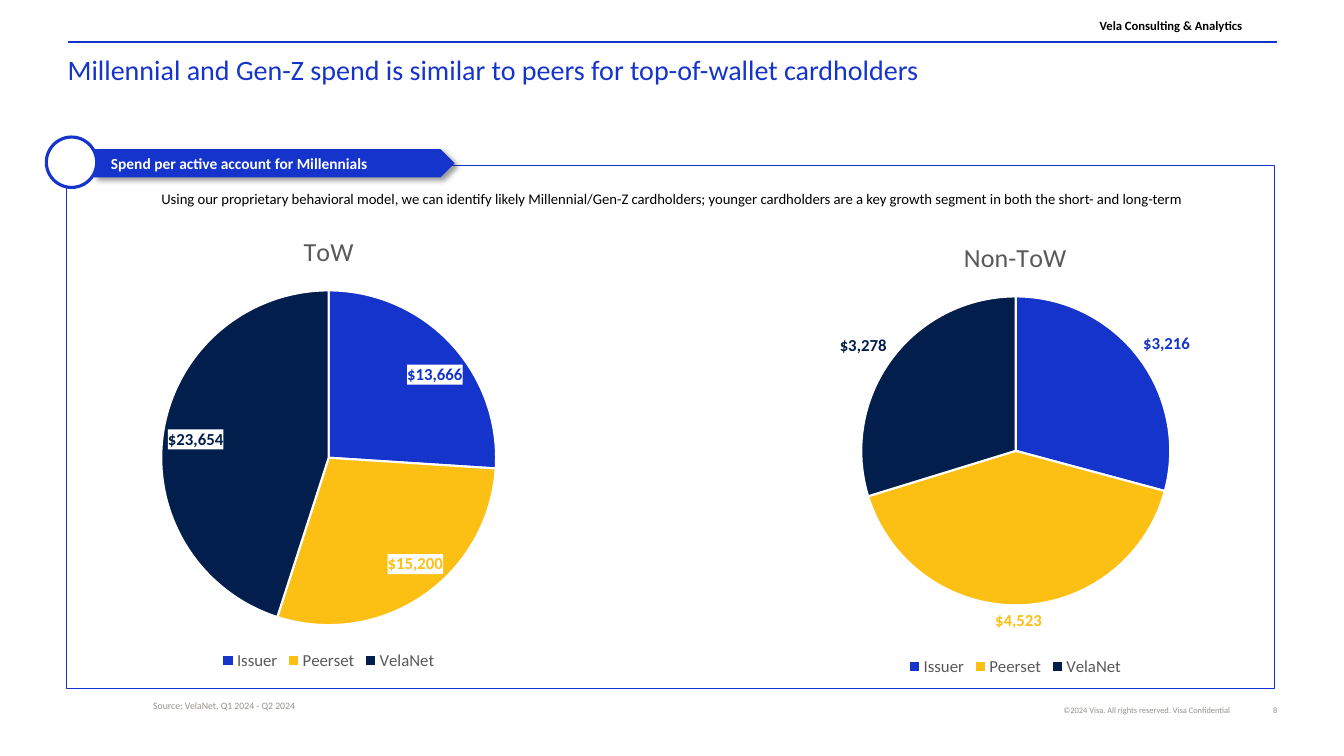
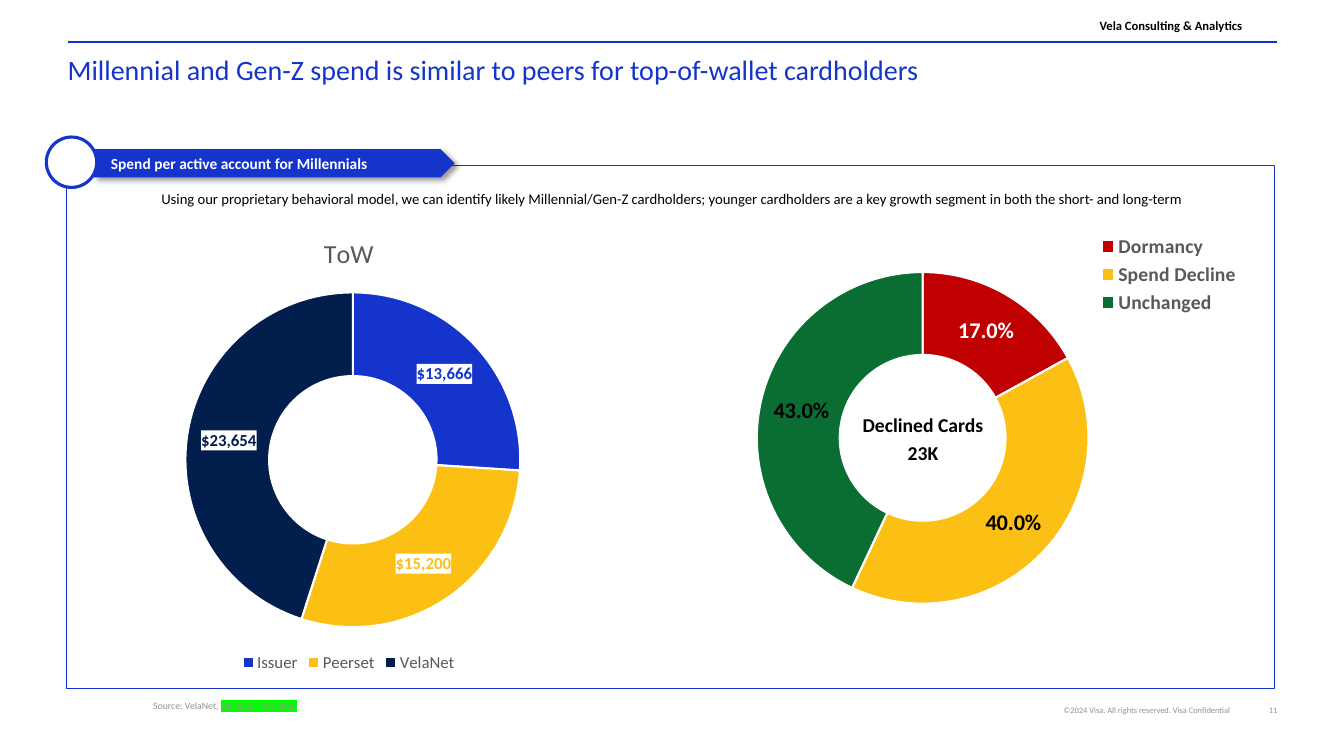
"""Build two slides on cardholder spend with pie and doughnut charts."""
import pptx
import pptx.chart.data
import pptx.dml.color
import pptx.enum.chart
import pptx.enum.shapes
import pptx.enum.text
import pptx.oxml
import pptx.oxml.ns
import pptx.util
from lxml import etree

Inches, Pt = pptx.util.Inches, pptx.util.Pt
RGBColor, qn = pptx.dml.color.RGBColor, pptx.oxml.ns.qn
Shapes, Align = pptx.enum.shapes.MSO_SHAPE, pptx.enum.text.PP_ALIGN
Anchor = pptx.enum.text.MSO_ANCHOR
ChartType = pptx.enum.chart.XL_CHART_TYPE
LegendPosition = pptx.enum.chart.XL_LEGEND_POSITION
LabelPosition = pptx.enum.chart.XL_LABEL_POSITION

BLUE = RGBColor(0x14, 0x34, 0xCB)
GOLD = RGBColor(0xFC, 0xC0, 0x15)
NAVY = RGBColor(0x02, 0x1E, 0x4C)
RED = RGBColor(0xC0, 0x00, 0x00)
GREEN = RGBColor(0x0A, 0x6D, 0x32)
GRAY = RGBColor(0x96, 0x91, 0x8D)
DARK_GRAY = RGBColor(0x59, 0x59, 0x59)
BLACK = RGBColor(0, 0, 0)
WHITE = RGBColor(0xFF, 0xFF, 0xFF)
HIGHLIGHT = RGBColor(0x00, 0xFF, 0x00)
FONT = "Calibri"

HEADER = "Vela Consulting & Analytics"
COPYRIGHT = "©2024 Visa. All rights reserved. Visa Confidential"
TITLE = "Millennial and Gen-Z spend is similar to peers for top-of-wallet cardholders"
BANNER = "Spend per active account for Millennials"
INTRO = (
    "Using our proprietary behavioral model, we can identify likely Millennial/Gen-Z "
    "cardholders; younger cardholders are a key growth segment in both the short- and long-term"
)

CHART_SIZE = (5.2, 4.57)
SPEND = {
    "categories": ["Issuer", "Peerset", "VelaNet"],
    "colors": [BLUE, GOLD, NAVY],
    "label_colors": [BLUE, GOLD, NAVY],
    "format": '"$"#,##0',
    "label_size": 12,
    "legend": LegendPosition.BOTTOM,
    "legend_size": 12,
}
TOP_OF_WALLET = SPEND | {
    "title": "ToW",
    "values": [13666, 15200, 23654],
    "label_fill": WHITE,
}
SLIDES = [
    {
        "number": "8",
        "source": [("Source: VelaNet, Q1 2024 - Q2 2024", None)],
        "charts": [
            TOP_OF_WALLET | {
                "type": ChartType.PIE,
                "at": (0.66, 2.12),
                "position": LabelPosition.BEST_FIT,
            },
            SPEND | {
                "type": ChartType.PIE,
                "at": (7.47, 2.18),
                "title": "Non-ToW",
                "values": [3216, 4523, 3278],
                "position": LabelPosition.OUTSIDE_END,
            },
        ],
    },
    {
        "number": "11",
        "source": [("Source: VelaNet, ", None), ("Q1 2023 – Q1 2024", HIGHLIGHT)],
        "charts": [
            TOP_OF_WALLET | {"type": ChartType.DOUGHNUT, "at": (0.86, 2.14)},
            {
                "type": ChartType.DOUGHNUT,
                "at": (7.28, 2.06),
                "series": "Series 1",
                "categories": ["Dormancy", "Spend Decline", "Unchanged"],
                "values": [17, 40, 43],
                "colors": [RED, GOLD, GREEN],
                "label_colors": [WHITE, BLACK, BLACK],
                "format": "0.0%",
                "percent": True,
                "label_size": 16,
                "legend": LegendPosition.RIGHT,
                "legend_size": 14,
                "legend_bold": True,
                "plot_area": (0.04, 0.14, 0.64, 0.72),
                "legend_area": (0.68, 0.05, 0.3, 0.19),
            },
        ],
        "center": ["Declined Cards", "23K"],
    },
]


def set_font(font, size, color, bold=False):
    font.name, font.size, font.bold = FONT, Pt(size), bold
    font.color.rgb = color


def add_text(slide, box, paragraphs, size, color, bold=False, align=Align.LEFT,
             anchor=Anchor.TOP, insets=(0, 0, 0, 0), line_spacing=None, gap=0):
    frame = slide.shapes.add_textbox(*map(Inches, box)).text_frame
    frame.word_wrap = True
    frame.vertical_anchor = anchor
    frame.margin_left, frame.margin_top, frame.margin_right, frame.margin_bottom = map(Inches, insets)
    for index, runs in enumerate(paragraphs):
        paragraph = frame.add_paragraph() if index else frame.paragraphs[0]
        paragraph.alignment = align
        if line_spacing:
            paragraph.line_spacing = line_spacing
        if index and gap:
            paragraph.space_before = Pt(gap)
        set_font(paragraph.font, size, color, bold)
        for text, highlight in runs:
            run = paragraph.add_run()
            run.text = text
            if highlight:
                mark = etree.SubElement(run.font._element, qn("a:highlight"))
                etree.SubElement(mark, qn("a:srgbClr"), val=str(highlight))


def add_panel(slide, kind, box, fill, line=None, width=0, shadow=False):
    shape = slide.shapes.add_shape(kind, *map(Inches, box))
    shape.shadow.inherit = False
    shape.fill.solid()
    shape.fill.fore_color.rgb = fill
    if line is None:
        shape.line.fill.background()
    else:
        shape.line.color.rgb = line
        shape.line.width = Pt(width)
    if shadow:
        effects = shape.element.spPr.find(qn("a:effectLst"))
        outer = etree.SubElement(effects, qn("a:outerShdw"), blurRad=str(Pt(4)),
                                 dist=str(Pt(3)), dir="2700000", algn="tl", rotWithShape="0")
        tone = etree.SubElement(outer, qn("a:srgbClr"), val=str(BLACK))
        etree.SubElement(tone, qn("a:alpha"), val="40000")
    return shape


def set_layout(element, area, inner=False):
    for old in element.findall(qn("c:layout")):
        element.remove(old)
    layout = etree.Element(qn("c:layout"))
    manual = etree.SubElement(layout, qn("c:manualLayout"))
    if inner:
        etree.SubElement(manual, qn("c:layoutTarget"), val="inner")
    for key in ("xMode", "yMode"):
        etree.SubElement(manual, qn(f"c:{key}"), val="edge")
    for key, value in zip("xywh", area):
        etree.SubElement(manual, qn(f"c:{key}"), val=str(value))
    element.insert(0 if inner else 1, layout)


def fill_label(label, color):
    for old in label.findall(qn("c:spPr")):
        label.remove(old)
    properties = etree.Element(qn("c:spPr"))
    fill = etree.SubElement(properties, qn("a:solidFill"))
    etree.SubElement(fill, qn("a:srgbClr"), val=str(color))
    border = etree.SubElement(properties, qn("a:ln"))
    etree.SubElement(border, qn("a:noFill"))
    label.find(qn("c:txPr")).addprevious(properties)


def style_labels(chart, content):
    series = chart.plots[0].series[0]
    percent = content.get("percent", False)
    labels = series.data_labels
    labels.show_value, labels.show_percentage = not percent, percent
    labels.number_format, labels.number_format_is_linked = content["format"], False
    set_font(labels.font, content["label_size"], content["label_colors"][0], True)
    if "position" in content:
        labels.position = content["position"]
    for index, color in enumerate(content["colors"]):
        point = series.points[index]
        point.format.fill.solid()
        point.format.fill.fore_color.rgb = color
        point.format.line.color.rgb = WHITE
        point.format.line.width = Pt(1.5)
        label = point.data_label
        set_font(label.font, content["label_size"], content["label_colors"][index], True)
        if "position" in content:
            label.position = content["position"]
    point_labels = list(chart.element.iter(qn("c:dLbl")))
    for label in point_labels:
        label.insert(1, etree.Element(qn("c:numFmt"), formatCode=content["format"], sourceLinked="0"))
        label.find(qn("c:showVal")).set("val", str(int(not percent)))
        label.find(qn("c:showPercent")).set("val", str(int(percent)))
    if "label_fill" in content:
        for label in [labels._element, *point_labels]:
            fill_label(label, content["label_fill"])


def add_spend_chart(slide, content):
    data = pptx.chart.data.CategoryChartData()
    data.categories = content["categories"]
    title = content.get("title")
    data.add_series(title or content["series"], content["values"])
    box = map(Inches, content["at"] + CHART_SIZE)
    chart = slide.shapes.add_chart(content["type"], *box, data).chart
    set_font(chart.font, 10, BLACK)
    chart.plots[0].vary_by_categories = True
    chart.has_title = bool(title)
    if title:
        frame = chart.chart_title.text_frame
        frame.text = title
        set_font(frame.paragraphs[0].font, 18.6, DARK_GRAY)
        chart.chart_title.include_in_layout = False
    chart.has_legend = True
    chart.legend.position = content["legend"]
    chart.legend.include_in_layout = False
    set_font(chart.legend.font, content["legend_size"], DARK_GRAY, content.get("legend_bold", False))
    style_labels(chart, content)
    if "plot_area" in content:
        set_layout(chart.element.find(".//" + qn("c:plotArea")), content["plot_area"], True)
        set_layout(chart.element.find(".//" + qn("c:legend")), content["legend_area"])


def add_frame(slide, number, source):
    rule = slide.shapes.add_connector(
        pptx.enum.shapes.MSO_CONNECTOR.STRAIGHT,
        Inches(0.67), Inches(0.42), Inches(12.67), Inches(0.42))
    rule.line.color.rgb = BLUE
    rule.line.width = Pt(1.5)
    etree.SubElement(rule.element.spPr, qn("a:effectLst"))
    add_text(slide, (9.97, 7, 2.23, 0.1), [[(COPYRIGHT, None)]], 6, GRAY,
             align=Align.RIGHT, anchor=Anchor.BOTTOM)
    add_text(slide, (12.24, 7, 0.43, 0.1), [[(number, None)]], 6, GRAY, align=Align.RIGHT)
    add_text(slide, (10.38, 0.19, 1.94, 0.14), [[(HEADER, None)]], 9, BLACK, True,
             Align.RIGHT, Anchor.BOTTOM, line_spacing=0.9)
    add_panel(slide, Shapes.RECTANGLE, (0.66, 1.64, 11.98, 5.19), WHITE, BLUE, 1)
    add_text(slide, (0.67, 0.52, 11.98, 0.58), [[(TITLE, None)]], 20, BLUE, insets=(0, 0, 0, 0.1))
    banner = add_panel(slide, Shapes.PENTAGON, (0.93, 1.48, 3.58, 0.28), BLUE, shadow=True)
    frame = banner.text_frame
    frame.margin_left = Inches(0.17)
    frame.margin_top = frame.margin_bottom = frame.margin_right = 0
    frame.vertical_anchor = Anchor.MIDDLE
    frame.text = BANNER
    frame.paragraphs[0].alignment = Align.LEFT
    set_font(frame.paragraphs[0].font, 11, WHITE, True)
    add_panel(slide, Shapes.OVAL, (0.46, 1.36, 0.5, 0.5), WHITE, BLUE, 2.25)
    add_text(slide, (1.52, 6.94, 6.96, 0.29), [source], 7, GRAY)
    add_text(slide, (0.69, 1.83, 11.95, 0.45), [[(INTRO, None)]], 10.5, BLACK,
             align=Align.CENTER, insets=(0.1, 0.05, 0.1, 0.05))


def main():
    presentation = pptx.Presentation()
    presentation.slide_width, presentation.slide_height = Inches(13.33), Inches(7.5)
    for content in SLIDES:
        slide = presentation.slides.add_slide(presentation.slide_layouts[6])
        add_frame(slide, content["number"], content["source"])
        for chart in content["charts"]:
            add_spend_chart(slide, chart)
        if "center" in content:
            add_text(slide, (8.42, 4.05, 1.47, 0.62), [[(line, None)] for line in content["center"]],
                     14, BLACK, True, Align.CENTER, insets=(0.1, 0.05, 0.1, 0.05), gap=3)
    presentation.save("out.pptx")


if __name__ == "__main__":
    main()
